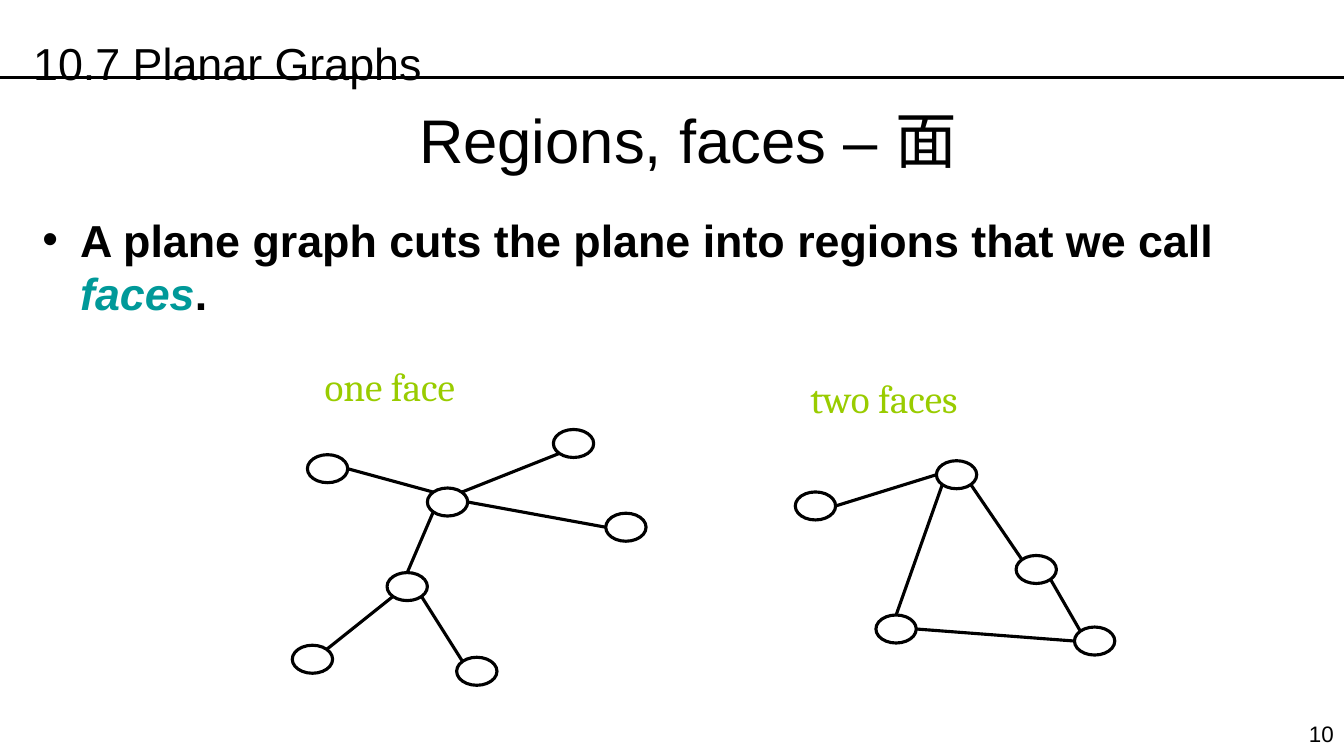
from dataclasses import dataclass
from lxml.etree import SubElement
from pptx import Presentation
from pptx.dml.color import RGBColor as RGB
from pptx.enum.shapes import MSO_CONNECTOR as Conn, MSO_SHAPE as Kind
from pptx.enum.text import MSO_ANCHOR as Anchor, MSO_AUTO_SIZE as Fit, PP_ALIGN as Align
from pptx.oxml.ns import qn
from pptx.util import Pt


@dataclass(frozen=True)
class Theme:
    ink: str = "000000"
    teal: str = "009999"
    lime: str = "99CC00"
    sans: str = "Arial"
    serif: str = "Cambria"
    title: int = 44
    body: int = 32
    label: int = 28
    page: int = 16
    line: float = 2.25
    node: tuple = (28.8, 20)


# Where an edge meets a node, in units of its half width and half height
SITES = {"n": (0, -1), "e": (1, 0), "s": (0, 1), "w": (-1, 0),
         "ne": (.71, -.71), "nw": (-.71, -.71),
         "se": (.71, .71), "sw": (-.71, .71)}


def apply(item, vals):
    for key, val in vals.items():
        setattr(item, key, val)


class Board:
    def __init__(self, slide, theme):
        self.slide, self.theme = slide, theme

    def place(self, shape, box):
        names = ("left", "top", "width", "height")
        apply(shape, dict(zip(names, map(Pt, box))))

    def fill(self, shape, runs, size, face=None, para=None, pad=7.2):
        frame = shape.text_frame
        apply(frame, {"word_wrap": True, "auto_size": Fit.NONE,
                      "vertical_anchor": Anchor.TOP,
                      "margin_left": Pt(pad), "margin_right": Pt(pad),
                      "margin_top": Pt(3.6), "margin_bottom": Pt(3.6)})
        line = frame.paragraphs[0]
        apply(line, {"space_before": Pt(0), **(para or {})})
        for text, color, form in runs:
            run = line.add_run()
            run.text = text
            apply(run.font, {"size": Pt(size), "name": face or self.theme.sans, **form})
            run.font.color.rgb = RGB.from_string(color)
        return line

    def title(self, box, text):
        shape = self.slide.shapes.title
        self.place(shape, box)
        self.fill(shape, [(text, self.theme.ink, {})], self.theme.title,
                  para={"alignment": Align.CENTER})

    def list(self, box, runs):
        shape = self.slide.placeholders[1]
        self.place(shape, box)
        line = self.fill(shape, runs, self.theme.body)
        props = line._p.get_or_add_pPr()
        props.set("marL", str(Pt(27)))
        props.set("indent", str(Pt(-27)))
        SubElement(props, qn("a:buChar")).set("char", "•")

    def text(self, box, text, size, color=None, **form):
        shape = self.slide.shapes.add_textbox(*map(Pt, box))
        self.fill(shape, [(text, color or self.theme.ink, {})], size, **form)

    def stroke(self, shape):
        shape.line.color.rgb = RGB.from_string(self.theme.ink)
        shape.line.width = Pt(self.theme.line)

    def edge(self, start, end):
        shape = self.slide.shapes.add_connector(Conn.STRAIGHT, *map(Pt, (*start, *end)))
        self.stroke(shape)
        SubElement(shape._element.spPr, qn("a:effectLst"))

    def node(self, x, y):
        w, h = self.theme.node
        shape = self.slide.shapes.add_shape(
            Kind.OVAL, *map(Pt, (x - w / 2, y - h / 2, w, h)))
        shape.shadow.inherit = False
        shape.fill.background()
        self.stroke(shape)

    def site(self, point, side):
        return [c + d * s / 2 for c, d, s in zip(point, SITES[side], self.theme.node)]

    def graph(self, nodes, edges):
        for a, out, b, into in edges:
            self.edge(self.site(nodes[a], out), self.site(nodes[b], into))
        for point in nodes.values():
            self.node(*point)


TREE = {"left": (234, 334.8), "hub": (319.7, 358.6), "top": (409.7, 316.8),
        "right": (447.1, 376.6), "fork": (290.9, 419),
        "foot": (223.2, 470.9), "toe": (340.6, 479.5)}
LIMBS = [("left", "e", "hub", "nw"), ("top", "sw", "hub", "ne"),
         ("right", "w", "hub", "e"), ("fork", "n", "hub", "sw"),
         ("fork", "sw", "foot", "ne"), ("fork", "se", "toe", "nw")]

RING = {"leaf": (582.5, 361.4), "peak": (683.3, 339.1), "base": (640.1, 449.3),
        "end": (781.9, 457.9), "side": (740.2, 406.8)}
ARCS = [("peak", "sw", "base", "n"), ("peak", "w", "leaf", "e"),
        ("peak", "se", "side", "nw"), ("side", "se", "end", "nw"),
        ("base", "e", "end", "w")]


def main():
    deck = Presentation()
    apply(deck, {"slide_width": Pt(960), "slide_height": Pt(540)})
    theme = Theme()
    board = Board(deck.slides.add_slide(deck.slide_layouts[1]), theme)

    # Rule and page number
    board.edge((0, 55.5), (960, 55.5))
    board.text((914.4, 511.2, 45.4, 26.6), "10", theme.page,
               para={"alignment": Align.RIGHT})

    # Title and list
    board.title((23, 69, 937, 90), "Regions, faces – 面")
    bold = {"bold": True}
    board.list((23, 148, 937, 353), [
        ("A plane graph cuts the plane into regions that we call ", theme.ink, bold),
        ("faces", theme.teal, {"bold": True, "italic": True}),
        (".", theme.ink, bold)])

    # Graphs with their labels
    for nodes, edges, label, box in (
            (TREE, LIMBS, "one face", (210.2, 255.6, 209, 41)),
            (RING, ARCS, "two faces", (557.3, 264.2, 227, 41))):
        board.graph(nodes, edges)
        board.text(box, label, theme.label, theme.lime, face=theme.serif, pad=21.6)

    # Section header
    board.text((16.6, 3, 870, 58.3), "10.7 Planar Graphs", theme.body,
               para={"line_spacing": 1.5})

    deck.save("out.pptx")


if __name__ == "__main__":
    main()
